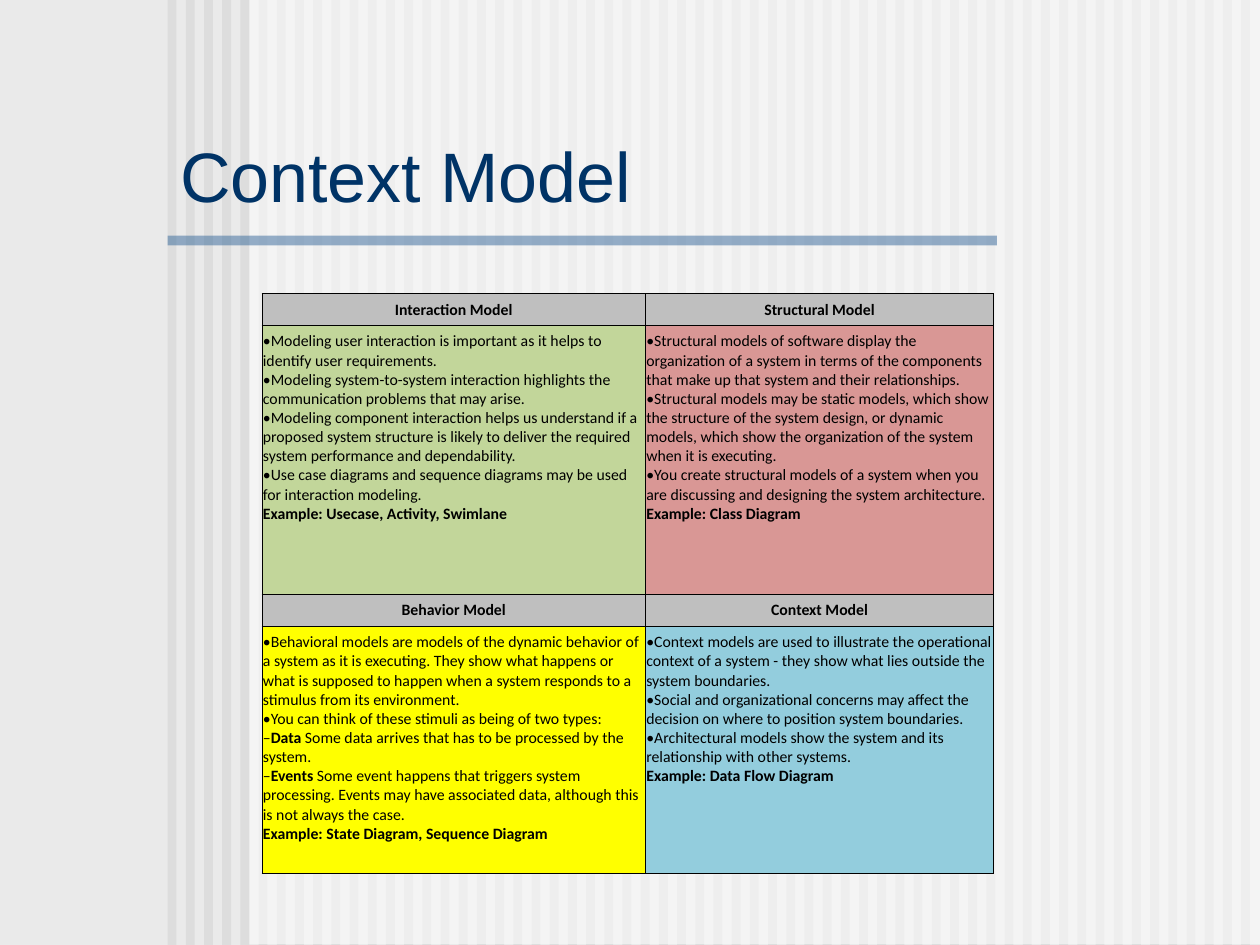
from lxml.etree import SubElement
from pptx import Presentation
from pptx.dml.color import RGBColor
from pptx.enum.shapes import MSO_SHAPE
from pptx.enum.text import MSO_ANCHOR, PP_ALIGN
from pptx.oxml.ns import qn
from pptx.util import Cm, Pt

BLACK = RGBColor(0x00, 0x00, 0x00)
WHITE = RGBColor(0xFF, 0xFF, 0xFF)
PAPER = RGBColor(0xEA, 0xEA, 0xEA)
STRIPE = RGBColor(0xDD, 0xDD, 0xDD)
STEEL = RGBColor(0x33, 0x66, 0x99)
NAVY = RGBColor(0x00, 0x33, 0x66)
GREY = RGBColor(0xBF, 0xBF, 0xBF)
GREEN = RGBColor(0xC2, 0xD6, 0x9A)
ROSE = RGBColor(0xD9, 0x97, 0x95)
YELLOW = RGBColor(0xFF, 0xFF, 0x00)
AQUA = RGBColor(0x93, 0xCD, 0xDD)

WIDE, HIGH = 25.4, 19.05
COUNT = 60
FIRST, LAST = 3.38, 25.02

MODELS = [
    [
        ("Interaction Model", GREEN, [
            "•Modeling user interaction is important as it helps to identify user requirements.",
            "•Modeling system-to-system interaction highlights the communication problems that may arise.",
            "•Modeling component interaction helps us understand if a proposed system structure "
            "is likely to deliver the required system performance and dependability.",
            "•Use case diagrams and sequence diagrams may be used for interaction modeling.",
            "*Example: Usecase, Activity, Swimlane*",
        ]),
        ("Structural Model", ROSE, [
            "•Structural models of software display the organization of a system in terms of "
            "the components that make up that system and their relationships.",
            "•Structural models may be static models, which show the structure of the system design, "
            "or dynamic models, which show the organization of the system when it is executing.",
            "•You create structural models of a system when you are discussing and designing "
            "the system architecture.",
            "*Example: Class Diagram*",
        ]),
    ],
    [
        ("Behavior Model", YELLOW, [
            "•Behavioral models are models of the dynamic behavior of a system as it is executing. "
            "They show what happens or what is supposed to happen when a system responds to "
            "a stimulus from its environment.",
            "•You can think of these stimuli as being of two types:",
            "–*Data* Some data arrives that has to be processed by the system.",
            "–*Events* Some event happens that triggers system processing. "
            "Events may have associated data, although this is not always the case.",
            "*Example: State Diagram, Sequence Diagram*",
        ]),
        ("Context Model", AQUA, [
            "•Context models are used to illustrate the operational context of a system - "
            "they show what lies outside the system boundaries.",
            "•Social and organizational concerns may affect the decision on where to position "
            "system boundaries.",
            "•Architectural models show the system and its relationship with other systems.",
            "*Example: Data Flow Diagram*",
        ]),
    ],
]


def write(frame, lines, font="Calibri", size=9, color=BLACK, align=PP_ALIGN.LEFT):
    """Put one paragraph per line; words between asterisks become bold."""
    for row, line in enumerate(lines):
        para = frame.add_paragraph() if row else frame.paragraphs[0]
        para.alignment = align
        for part, words in enumerate(line.split("*")):
            if words:
                run = para.add_run()
                run.text = words
                run.font.name = font
                run.font.size = Pt(size)
                run.font.bold = part % 2 == 1
                run.font.color.rgb = color


class Deck:
    def __init__(self):
        self.file = Presentation()
        self.file.slide_width, self.file.slide_height = Cm(WIDE), Cm(HIGH)
        self.slide = self.file.slides.add_slide(self.file.slide_layouts[6])
        back = self.slide.background.fill
        back.solid()
        back.fore_color.rgb = PAPER

    def bar(self, left, top, width, height, color, alpha=None):
        """Draw a plain rectangle, with its opacity in percent."""
        shape = self.slide.shapes.add_shape(
            MSO_SHAPE.RECTANGLE, Cm(left), Cm(top), Cm(width), Cm(height))
        shape.shadow.inherit = False
        shape.line.fill.background()
        shape.fill.solid()
        shape.fill.fore_color.rgb = color
        if alpha:
            tint = shape.fill._xPr.find(".//" + qn("a:srgbClr"))
            SubElement(tint, qn("a:alpha"), val=str(alpha * 1000))

    def title(self, text, left, top, width, height):
        box = self.slide.shapes.add_textbox(Cm(left), Cm(top), Cm(width), Cm(height))
        frame = box.text_frame
        frame.word_wrap = True
        frame.vertical_anchor = MSO_ANCHOR.BOTTOM
        write(frame, [text], font="Arial", size=40, color=NAVY)

    def table(self, left, top, cols, rows):
        frame = self.slide.shapes.add_table(
            len(rows), len(cols), Cm(left), Cm(top), Cm(sum(cols)), Cm(sum(rows)))
        grid = frame.table
        grid.first_row = grid.horz_banding = False
        for col, width in zip(grid.columns, cols):
            col.width = Cm(width)
        for row, height in zip(grid.rows, rows):
            row.height = Cm(height)
        return grid

    def cell(self, cell, lines, fill, anchor=MSO_ANCHOR.TOP, align=PP_ALIGN.LEFT):
        cell.margin_left = cell.margin_right = Cm(0.02)
        cell.margin_top = cell.margin_bottom = Cm(0.13)
        cell.vertical_anchor = anchor
        for side in ("lnL", "lnR", "lnT", "lnB"):
            edge = SubElement(cell._tc.get_or_add_tcPr(), qn("a:" + side), w=str(Pt(0.23)))
            paint = SubElement(edge, qn("a:solidFill"))
            SubElement(paint, qn("a:srgbClr"), val=str(BLACK))
        cell.fill.solid()
        cell.fill.fore_color.rgb = fill
        write(cell.text_frame, lines, align=align)


def main():
    deck = Deck()
    pitch = (LAST - FIRST) / (COUNT - 1)
    for step in range(COUNT):
        deck.bar(FIRST + step * pitch, 0, 0.18, HIGH, STRIPE)
    deck.bar(5.03, -0.02, WIDE - 5.03, HIGH, WHITE, alpha=50)
    deck.bar(FIRST, 4.75, 16.72, 0.2, STEEL, alpha=50)
    deck.title("Context Model", FIRST, 2.74, 18.62, 1.75)

    grid = deck.table(5.28, 5.92, cols=[7.73, 7.02], rows=[0.46, 5.42, 0.46, 4.98])
    for row, pair in enumerate(MODELS):
        for col, (name, color, lines) in enumerate(pair):
            deck.cell(grid.cell(2 * row, col), [f"*{name}*"], GREY,
                      anchor=MSO_ANCHOR.MIDDLE, align=PP_ALIGN.CENTER)
            deck.cell(grid.cell(2 * row + 1, col), lines, color)
    deck.file.save("out.pptx")


if __name__ == "__main__":
    main()
